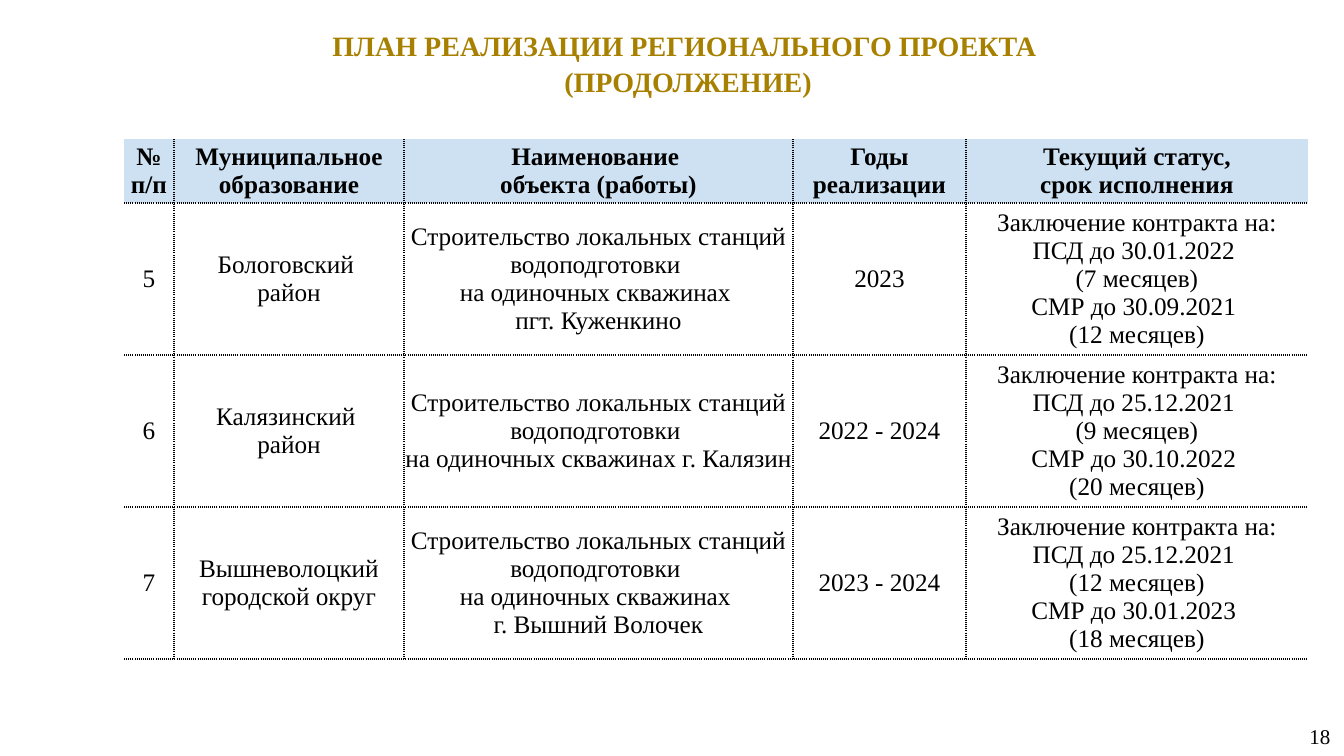
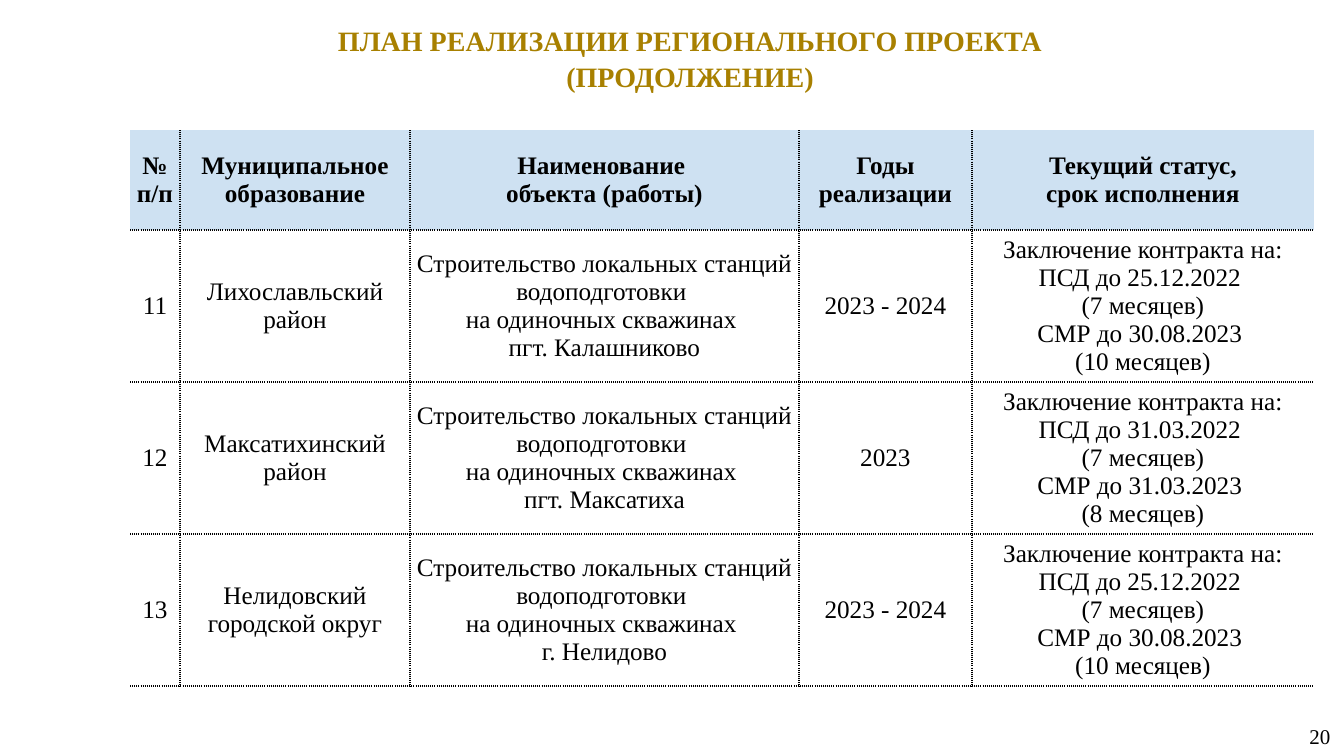
from lxml import etree
from pptx import Presentation
from pptx import util as u
from pptx.dml.color import RGBColor
from pptx.enum import text as t
from pptx.oxml.ns import qn

EMU_PER_PX = 12192000 / 1344
FONT = "Times New Roman"
GOLD, BLACK, HEADER_BLUE = "A88000", "000000", "CEE1F2"

TITLE_SIZE = (1180, 82)
NUMBER_BOX = (1296, 716, 48, 40)
COLUMN_WIDTHS = (50, 230, 389, 173, 342)
ROW_HEIGHT = 152
HEADERS = (
    "№ п/п",
    "Муниципальное образование",
    "Наименование \vобъекта (работы)",
    "Годы реализации",
    "Текущий статус,\vсрок исполнения",
)
STATIONS = "Строительство локальных станций водоподготовки \vна одиночных скважинах "


def px(length):
    return u.Emu(round(length * EMU_PER_PX))


def color(hex_string):
    return RGBColor.from_string(hex_string)


def write(frame, content, size, hex_color=BLACK, bold=False, spacing=None):
    """Write centred text; newline starts a paragraph, vertical tab breaks a line."""
    frame.word_wrap = True
    for index, paragraph_text in enumerate(content.split("\n")):
        paragraph = frame.add_paragraph() if index else frame.paragraphs[0]
        paragraph.alignment = t.PP_ALIGN.CENTER
        if spacing:
            paragraph.line_spacing = spacing
        for line_index, line in enumerate(paragraph_text.split("\v")):
            if line_index:
                paragraph.add_line_break()
            run = paragraph.add_run()
            run.text = line
            run.font.name = FONT
            run.font.size = u.Pt(size)
            run.font.bold = bold
            run.font.color.rgb = color(hex_color)


def set_margins(target, horizontal, vertical):
    target.margin_left = target.margin_right = px(horizontal)
    target.margin_top = target.margin_bottom = px(vertical)


def add_title(slide, left, top, content):
    title = slide.shapes.title
    title.left, title.top = px(left), px(top)
    title.width, title.height = map(px, TITLE_SIZE)
    frame = title.text_frame
    set_margins(frame, 13, 7)
    frame.vertical_anchor = t.MSO_ANCHOR.TOP
    frame.auto_size = t.MSO_AUTO_SIZE.SHAPE_TO_FIT_TEXT
    write(frame, content, 20, GOLD, bold=True, spacing=1.08)


def add_page_number(slide, number):
    frame = slide.shapes.add_textbox(*map(px, NUMBER_BOX)).text_frame
    set_margins(frame, 10, 5)
    frame.vertical_anchor = t.MSO_ANCHOR.MIDDLE
    write(frame, number, 15)


def set_borders(cell, visible_sides):
    """Draw dotted lines on the given sides (letters of LRTB), none on the others."""
    properties = cell._tc.get_or_add_tcPr()
    for index, side in enumerate("LRTB"):
        line = etree.Element(qn(f"a:ln{side}"), w=str(u.Pt(1)))
        properties.insert(index, line)
        if side in visible_sides:
            fill = etree.SubElement(line, qn("a:solidFill"))
            etree.SubElement(fill, qn("a:srgbClr"), val=BLACK)
            etree.SubElement(line, qn("a:prstDash"), val="sysDot")
        else:
            etree.SubElement(line, qn("a:noFill"))


def add_plan_table(slide, left, top, header_height, rows):
    heights = [header_height] + [ROW_HEIGHT] * len(rows)
    table = slide.shapes.add_table(
        len(heights), len(COLUMN_WIDTHS),
        px(left), px(top), px(sum(COLUMN_WIDTHS)), px(sum(heights)),
    ).table
    table.first_row = table.horz_banding = False
    for column, width in zip(table.columns, COLUMN_WIDTHS):
        column.width = px(width)
    for row, height in zip(table.rows, heights):
        row.height = px(height)

    last_column = len(COLUMN_WIDTHS) - 1
    for row_index, row in enumerate([HEADERS, *rows]):
        is_header = row_index == 0
        for column_index, content in enumerate(row):
            cell = table.cell(row_index, column_index)
            set_margins(cell, 0, 0)
            cell.vertical_anchor = t.MSO_ANCHOR.MIDDLE
            if is_header:
                cell.fill.solid()
                cell.fill.fore_color.rgb = color(HEADER_BLUE)
            else:
                cell.fill.background()
            sides = "B" if is_header else "TB"
            if column_index > 0:
                sides += "L"
            if column_index < last_column:
                sides += "R"
            set_borders(cell, sides)
            write(cell.text_frame, content, 18, bold=is_header)


def status(design_date, design_months, building_date, building_months):
    return (
        "Заключение контракта на:\n"
        f"ПСД до {design_date} \v({design_months} месяцев)\n"
        f"СМР до {building_date} \n({building_months} месяцев)"
    )


def add_plan_slide(presentation, number, title, title_at, table_at, header_height, rows):
    slide = presentation.slides.add_slide(presentation.slide_layouts[5])
    add_title(slide, *title_at, title)
    add_page_number(slide, number)
    add_plan_table(slide, *table_at, header_height, rows)


def main():
    presentation = Presentation()
    presentation.slide_width, presentation.slide_height = px(1344), px(756)

    add_plan_slide(
        presentation, "18",
        "ПЛАН РЕАЛИЗАЦИИ РЕГИОНАЛЬНОГО ПРОЕКТА \n(ПРОДОЛЖЕНИЕ)",
        title_at=(98, 19), table_at=(124, 139), header_height=64,
        rows=[
            ("5", "Бологовский \vрайон", STATIONS + "\nпгт. Куженкино", "2023",
             status("30.01.2022", 7, "30.09.2021", 12)),
            ("6", "Калязинский \vрайон", STATIONS + "г. Калязин", "2022 - 2024",
             status("25.12.2021", 9, "30.10.2022", 20)),
            ("7", "Вышневолоцкий городской округ", STATIONS + "\vг. Вышний Волочек",
             "2023 - 2024", status("25.12.2021", 12, "30.01.2023", 18)),
        ],
    )
    add_plan_slide(
        presentation, "20",
        "ПЛАН РЕАЛИЗАЦИИ РЕГИОНАЛЬНОГО ПРОЕКТА\n(ПРОДОЛЖЕНИЕ)",
        title_at=(100, 14), table_at=(130, 130), header_height=100,
        rows=[
            ("11", "Лихославльский район", STATIONS + "\vпгт. Калашниково",
             "2023 - 2024", status("25.12.2022", 7, "30.08.2023", 10)),
            ("12", "Максатихинский район", STATIONS + "\vпгт. Максатиха",
             "2023", status("31.03.2022", 7, "31.03.2023", 8)),
            ("13", "Нелидовский городской округ", STATIONS + "\nг. Нелидово",
             "2023 - 2024", status("25.12.2022", 7, "30.08.2023", 10)),
        ],
    )
    presentation.save("out.pptx")


if __name__ == "__main__":
    main()
